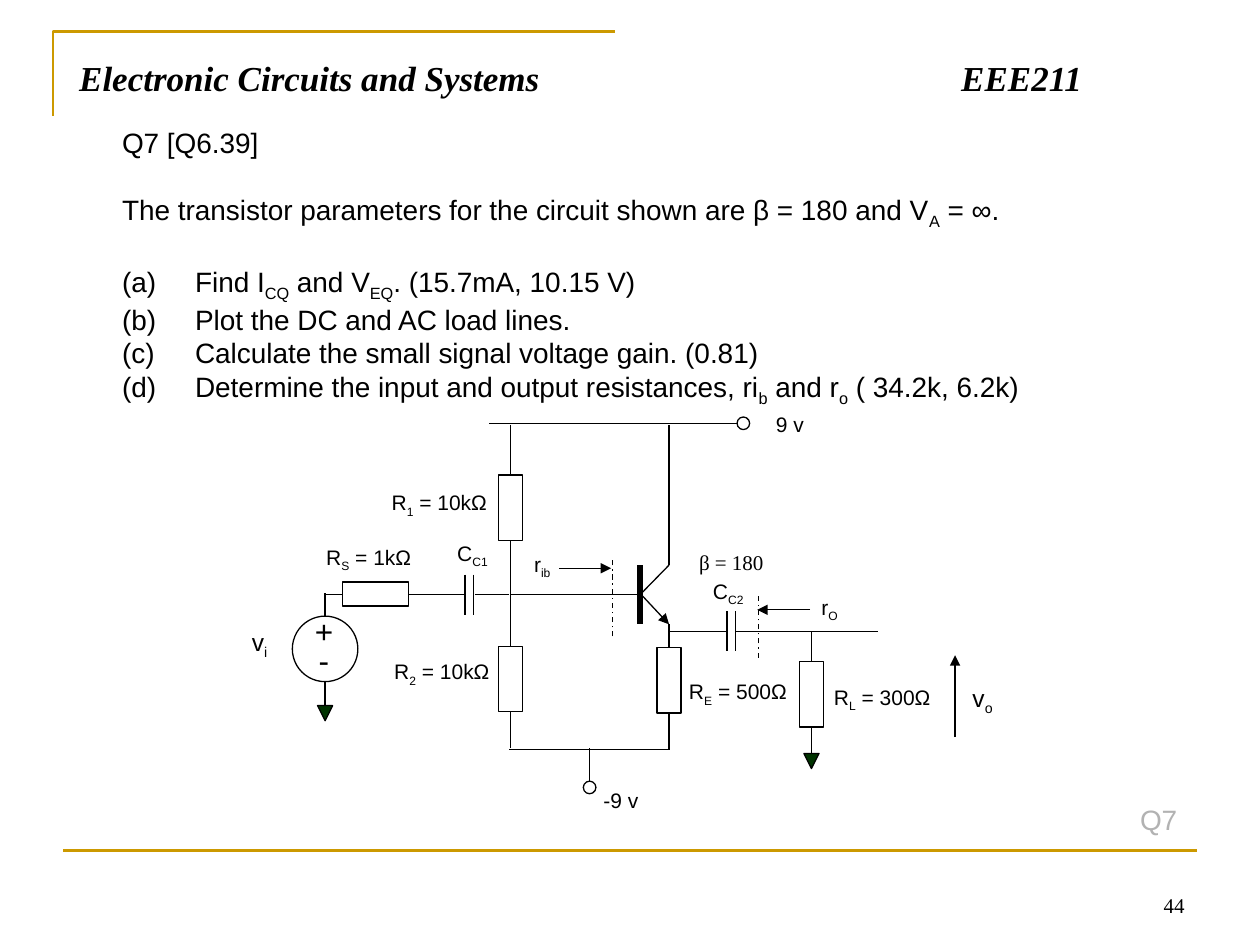
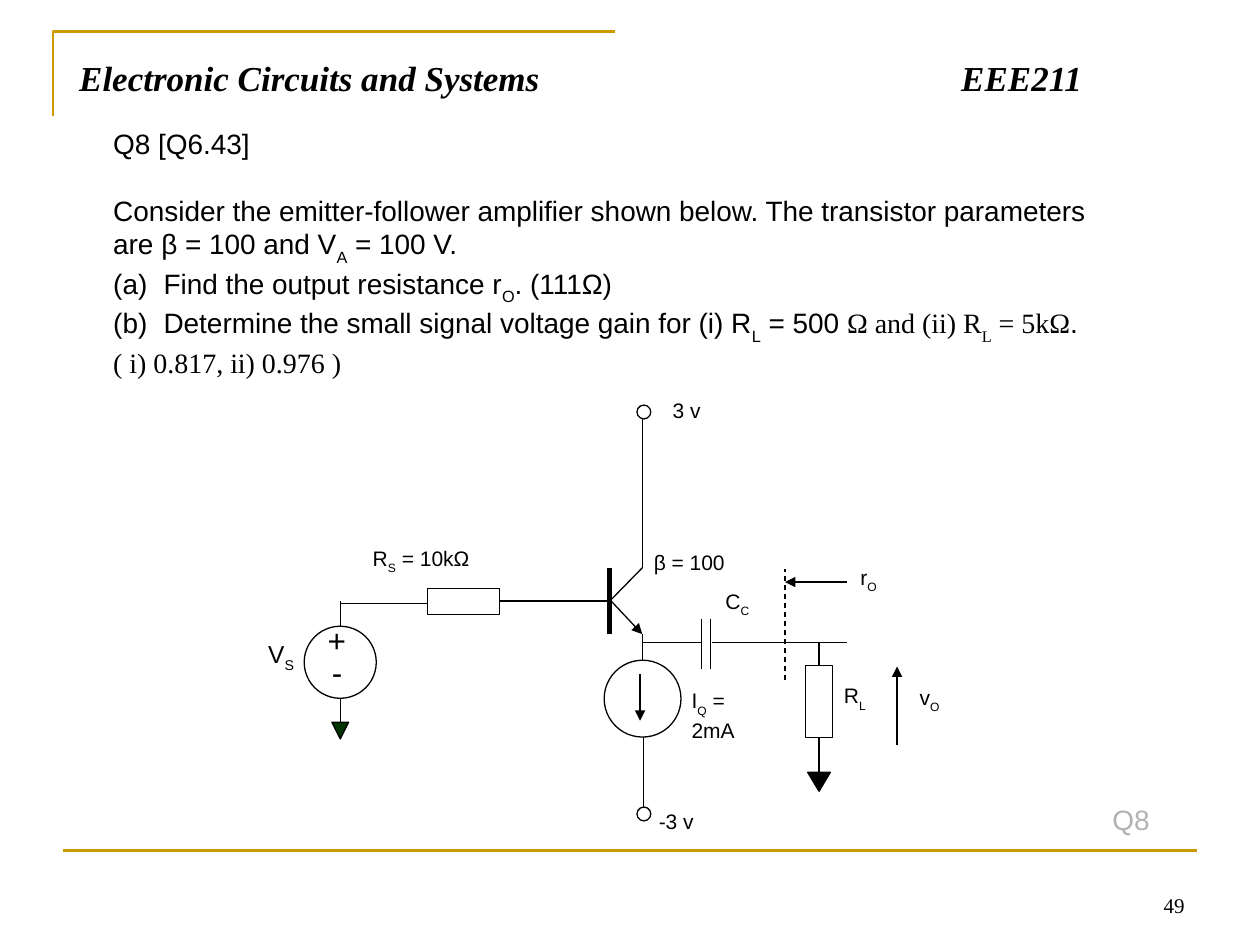
"""Build two exercise slides on emitter-follower amplifier circuits."""
from lxml.etree import SubElement
from pptx import Presentation
from pptx.dml.color import RGBColor
from pptx.enum.dml import MSO_LINE_DASH_STYLE as Dash
from pptx.enum.shapes import MSO_CONNECTOR as Link, MSO_SHAPE as Form
from pptx.enum.text import MSO_ANCHOR as Anchor, PP_ALIGN as Align
from pptx.oxml.ns import qn
from pptx.util import Cm, Pt

COLORS = {"ink": "000000", "paper": "FFFFFF", "gold": "CC9900",
          "earth": "003300", "faded": "B2B2B2"}
SANS, SERIF = "Arial", "Times New Roman"
BLANK_LINE = 19


def grid(*inches):
    """Turn positions on the inch grid into lengths."""
    return [Cm(2.54 * value) for value in inches]


def color(name):
    """Look up a colour of the deck."""
    return RGBColor.from_string(COLORS[name])


def write(paragraph, text, size=12, font=SANS, ink="ink", bold=False, italic=False, drop=25):
    """Add text to a paragraph, lowering the pieces between bars to subscripts."""
    for index, piece in enumerate(text.split("|")):
        if not piece:
            continue
        run = paragraph.add_run()
        run.text = piece
        run.font.size, run.font.name = Pt(size), font
        run.font.bold, run.font.italic = bold, italic
        run.font.color.rgb = color(ink)
        if index % 2:
            run._r.get_or_add_rPr().set("baseline", str(-1000 * drop))


def number(paragraph, hang):
    """Number a paragraph as (a), (b), ... with a hanging indent."""
    props = paragraph._p.get_or_add_pPr()
    indent, = grid(hang)
    props.set("marL", str(indent))
    props.set("indent", str(-indent))
    SubElement(props, qn("a:buFont"), typeface="+mj-lt")
    SubElement(props, qn("a:buAutoNum"), type="alphaLcParenBoth")


class CircuitDeck:
    """Hold the deck style and the slide being drawn."""

    def __init__(self):
        """Start an empty deck of 10 by 7.5 inches."""
        self.deck = Presentation()
        self.deck.slide_width, self.deck.slide_height = grid(10, 7.5)
        self.shapes = None
        self.drop = 25

    def start(self, page, tag, tag_left, drop):
        """Open a slide with its frame, title, page number and question tag."""
        self.shapes = self.deck.slides.add_slide(self.deck.slide_layouts[6]).shapes
        self.drop = drop
        builder = self.shapes.build_freeform(*grid(0.42, 0.92), scale=1.0)
        builder.add_line_segments([grid(0.42, 0.25), grid(4.88, 0.25)], close=False)
        corner = builder.convert_to_shape()
        corner.shadow.inherit = False
        corner.fill.background()
        corner.line.color.rgb, corner.line.width = color("gold"), Pt(1.5)
        self.wire(0.5, 6.75, 9.5, 6.75, ink="gold", width=1.5)

        number_frame = self.label("", 7.17, 6.83, 2.33, 0.5)
        number_frame.vertical_anchor = Anchor.BOTTOM
        number_frame.paragraphs[0].alignment = Align.RIGHT
        write(number_frame.paragraphs[0], page, font=SERIF)

        title = self.label("Electronic Circuits and Systems\tEEE211", 0.53, 0.4, 8.92, 0.61,
                           size=20, font=SERIF, bold=True, italic=True).paragraphs[0]
        tabs = SubElement(title._p.get_or_add_pPr(), qn("a:tabLst"))
        SubElement(tabs, qn("a:tab"), pos=str(grid(7)[0]), algn="l")
        self.label(tag, tag_left, 6.32, 9.81 - tag_left, 0.37, size=16, ink="faded")

    def label(self, text, left, top, width, height=0.37, **style):
        """Place a text box and return its frame."""
        frame = self.shapes.add_textbox(*grid(left, top, width, height)).text_frame
        frame.word_wrap = True
        write(frame.paragraphs[0], text, **{"drop": self.drop, **style})
        return frame

    def question(self, lines, left, top, width, height, hang):
        """Write the question from (kind, pieces) lines and return its frame."""
        frame = self.label("", left, top, width, height)
        for index, (kind, pieces) in enumerate(lines):
            paragraph = frame.add_paragraph() if index else frame.paragraphs[0]
            if "gap" in kind:
                paragraph.space_before = Pt(BLANK_LINE)
            if "item" in kind:
                number(paragraph, hang)
            for text, font in pieces:
                write(paragraph, text, size=16, font=font, drop=self.drop)
        return frame

    def wire(self, x1, y1, x2, y2, ink="ink", width=0.75, dash=None, arrow=False):
        """Draw a straight line, with an arrowhead at its end if asked."""
        wire = self.shapes.add_connector(Link.STRAIGHT, *grid(x1, y1, x2, y2))
        wire.line.color.rgb, wire.line.width = color(ink), Pt(width)
        if dash:
            wire.line.dash_style = dash
        if arrow:
            SubElement(wire.line._get_or_add_ln(), qn("a:tailEnd"), type="triangle")
        SubElement(wire._element.spPr, qn("a:effectLst"))
        return wire

    def symbol(self, form, cx, top, width, height, fill="paper"):
        """Draw an outlined shape centred on cx."""
        symbol = self.shapes.add_shape(form, *grid(cx - width / 2, top, width, height))
        symbol.shadow.inherit = False
        symbol.fill.solid()
        symbol.fill.fore_color.rgb = color(fill)
        symbol.line.color.rgb, symbol.line.width = color("ink"), Pt(0.75)
        return symbol

    def resistor(self, cx, top, scale=1.0, flat=False):
        """Draw a resistor, upright or flat."""
        width, height = (0.52, 0.19) if flat else (0.19, 0.52)
        return self.symbol(Form.RECTANGLE, cx, top, width * scale, height * scale)

    def terminal(self, cx, cy, size):
        """Draw an open supply terminal."""
        self.symbol(Form.OVAL, cx, cy - size / 2, size, size)

    def ground(self, cx, top, width, height, fill="earth"):
        """Draw a ground mark pointing down."""
        self.symbol(Form.ISOSCELES_TRIANGLE, cx, top, width, height, fill).rotation = 180

    def capacitor(self, x, cy, half):
        """Draw the two plates of a capacitor."""
        for plate in (x, x + 0.07):
            self.wire(plate, cy - half, plate, cy + half)

    def source(self, cx, top, scale=1.0):
        """Draw a signal source with its lead and its ground."""
        size = 0.52 * scale
        bottom = top + size
        self.wire(cx, top - 0.18 * scale, cx, top)
        self.symbol(Form.OVAL, cx, top, size, size).fill.background()
        self.label("+", cx - 0.18 * scale, top - 0.08 * scale, 0.4, 0.4, size=18)
        self.label("-", cx - 0.15 * scale, top + 0.15 * scale, 0.36, 0.4, size=18)
        self.wire(cx, bottom, cx, bottom + 0.19)
        self.ground(cx, bottom + 0.19, 0.12 * scale, 0.12 * scale)

    def transistor(self, x, cy, scale=1.0):
        """Draw an NPN transistor and return its emitter lead."""
        half, reach = 0.235 * scale, x + 0.23 * scale
        self.wire(x + 0.01, cy, reach, cy + half, arrow=True)
        self.wire(x, cy - half, x, cy + half, width=3)
        self.wire(x, cy, reach, cy - half)
        self.wire(reach, cy - half, reach, cy - half - 0.2 * scale)
        self.wire(x - 0.02, cy, x - 0.22 * scale, cy)
        return self.wire(reach, cy + half, reach, cy + half + 0.19 * scale)


def draw_q7(deck):
    """Draw question 7 with its two-supply circuit."""
    deck.start("44", "Q7", 8.95, drop=25)
    deck.question([
        ("", [("Q7 [Q6.39]", SANS)]),
        ("gap", [("The transistor parameters for the circuit shown are β = 180 and V|A| = ∞.",
                  SANS)]),
        ("gap item", [("Find I|CQ| and V|EQ|. (15.7mA, 10.15 V)", SANS)]),
        ("item", [("Plot the DC and AC load lines.", SANS)]),
        ("item", [("Calculate the small signal voltage gain. (0.81)", SANS)]),
        ("item", [("Determine the input and output resistances, ri|b| and r|o| ( 34.2k, 6.2k)",
                   SANS)]),
    ], 0.87, 0.95, 8.25, 2.24, hang=0.58)

    emitter_lead = deck.transistor(5.08, 4.72)
    for ends in [(5.31, 4.36, 5.31, 3.37), (5.89, 3.36, 3.88, 3.36), (5.31, 5.95, 4.04, 5.95),
                 (4.05, 3.37, 4.05, 5.94), (4.97, 4.72, 4.05, 4.72), (5.31, 5.01, 5.78, 5.01),
                 (2.58, 4.72, 3.69, 4.72), (3.77, 4.72, 4.04, 4.72), (4.68, 5.94, 4.68, 6.24),
                 (6.44, 5.02, 6.44, 5.99), (5.84, 5.01, 6.97, 5.01)]:
        deck.wire(*ends)
    for cx, top in [(4.05, 3.77), (4.05, 5.13), (6.44, 5.25)]:
        deck.resistor(cx, top)
    deck.resistor(2.98, 4.62, flat=True)
    emitter_resistor = deck.resistor(5.31, 5.14)
    emitter_lead.end_connect(emitter_resistor, 0)
    deck.wire(5.31, 5.66, 5.31, 5.95).begin_connect(emitter_resistor, 2)

    deck.capacitor(3.69, 4.72, 0.16)
    deck.capacitor(5.77, 5.01, 0.16)
    deck.source(2.58, 4.89)
    deck.ground(6.44, 5.98, 0.12, 0.12)
    deck.terminal(4.68, 6.25, 0.1)
    deck.terminal(5.9, 3.36, 0.1)
    deck.wire(4.86, 5.05, 4.86, 4.43, dash=Dash.DASH_DOT)
    deck.wire(6.02, 5.22, 6.02, 4.73, dash=Dash.DASH_DOT)
    for ends in [(4.44, 4.51, 4.85, 4.51), (6.43, 4.84, 6.01, 4.84), (7.58, 5.85, 7.58, 5.2)]:
        deck.wire(*ends, arrow=True)

    for text, left, top, width in [
            ("R|1| = 10kΩ", 3.01, 3.84, 1.04), ("R|2| = 10kΩ", 3.03, 5.18, 1.04),
            ("R|S| = 1kΩ", 2.49, 4.27, 1.04), ("R|E| = 500Ω", 5.37, 5.34, 1.17),
            ("R|L| = 300Ω", 6.52, 5.38, 1.17), ("C|C1|", 3.53, 4.24, 0.5),
            ("C|C2|", 5.56, 4.54, 0.5), ("r|ib|", 4.14, 4.33, 0.37),
            ("r|O|", 6.42, 4.67, 0.63), ("9 v", 6.06, 3.22, 0.47), ("-9 v", 4.69, 6.2, 0.56)]:
        deck.label(text, left, top, width)
    deck.label("β = 180", 5.45, 4.31, 0.77, 0.27, font=SERIF)
    deck.label("v|o|", 7.62, 5.37, 0.4, size=14)
    deck.label("v|i|", 1.9, 4.93, 0.35, size=14)


def draw_q8(deck):
    """Draw question 8 with its current-source circuit."""
    deck.start("49", "Q8", 8.73, drop=30)
    deck.question([
        ("", [("Q8 [Q6.43]", SANS)]),
        ("gap", [("Consider the emitter-follower amplifier shown below. The transistor "
                  "parameters are β = 100 and V|A| = 100 V.", SANS)]),
        ("item", [("Find the output resistance r|O|. (111Ω)", SANS)]),
        ("item", [("Determine the small signal voltage gain for (i) R|L| = 500 ", SANS),
                  ("Ω and (ii) R|L| = 5kΩ", SERIF), (".", SANS)]),
        ("", [("( i) 0.817, ii) 0.976 )", SERIF)]),
    ], 0.8, 1.02, 8.12, 1.97, hang=0.4).vertical_anchor = Anchor.MIDDLE

    scale = 1.1
    deck.transistor(4.84, 4.77, 1.12)
    for ends in [(5.1, 4.38, 5.1, 3.29), (5.11, 5.81, 5.11, 6.41), (4.73, 4.77, 3.71, 4.77),
                 (5.1, 5.1, 5.56, 5.1), (2.7, 4.79, 3.71, 4.79), (6.5, 5.1, 6.5, 6.17),
                 (6.72, 5.1, 5.65, 5.1)]:
        deck.wire(*ends)
    deck.resistor(3.68, 4.67, scale, flat=True)
    deck.resistor(6.5, 5.28, scale)
    deck.capacitor(5.57, 5.11, 0.2)
    deck.source(2.7, 4.97, scale)
    deck.ground(6.5, 6.13, 0.18, 0.15, fill="ink")
    deck.terminal(5.11, 6.46, 0.11)
    deck.terminal(5.11, 3.27, 0.11)
    deck.symbol(Form.OVAL, 5.1, 5.24, 0.61, 0.61)
    deck.wire(6.23, 5.4, 6.23, 4.52, dash=Dash.DASH)
    for ends in [(5.08, 5.35, 5.08, 5.72), (6.72, 4.62, 6.23, 4.62), (7.12, 5.91, 7.12, 5.29)]:
        deck.wire(*ends, arrow=True)

    for text, left, top, width in [
            ("R|S| = 10kΩ", 2.86, 4.28, 1.15), ("R|L|", 6.6, 5.37, 0.47),
            ("C|C|", 5.66, 4.62, 0.47), ("r|O|", 6.73, 4.43, 0.43), ("v|O|", 7.2, 5.38, 0.7),
            ("β = 100", 5.09, 4.31, 0.85), ("3 v", 5.24, 3.11, 0.52),
            ("-3 v", 5.13, 6.37, 0.65), ("I|Q| = 2mA", 5.39, 5.41, 0.66)]:
        deck.label(text, left, top, width)
    deck.label("V|S|", 2.03, 5.02, 0.55, size=14)


def main():
    """Draw both questions and save the deck."""
    circuits = CircuitDeck()
    draw_q7(circuits)
    draw_q8(circuits)
    circuits.deck.save("out.pptx")


if __name__ == "__main__":
    main()
